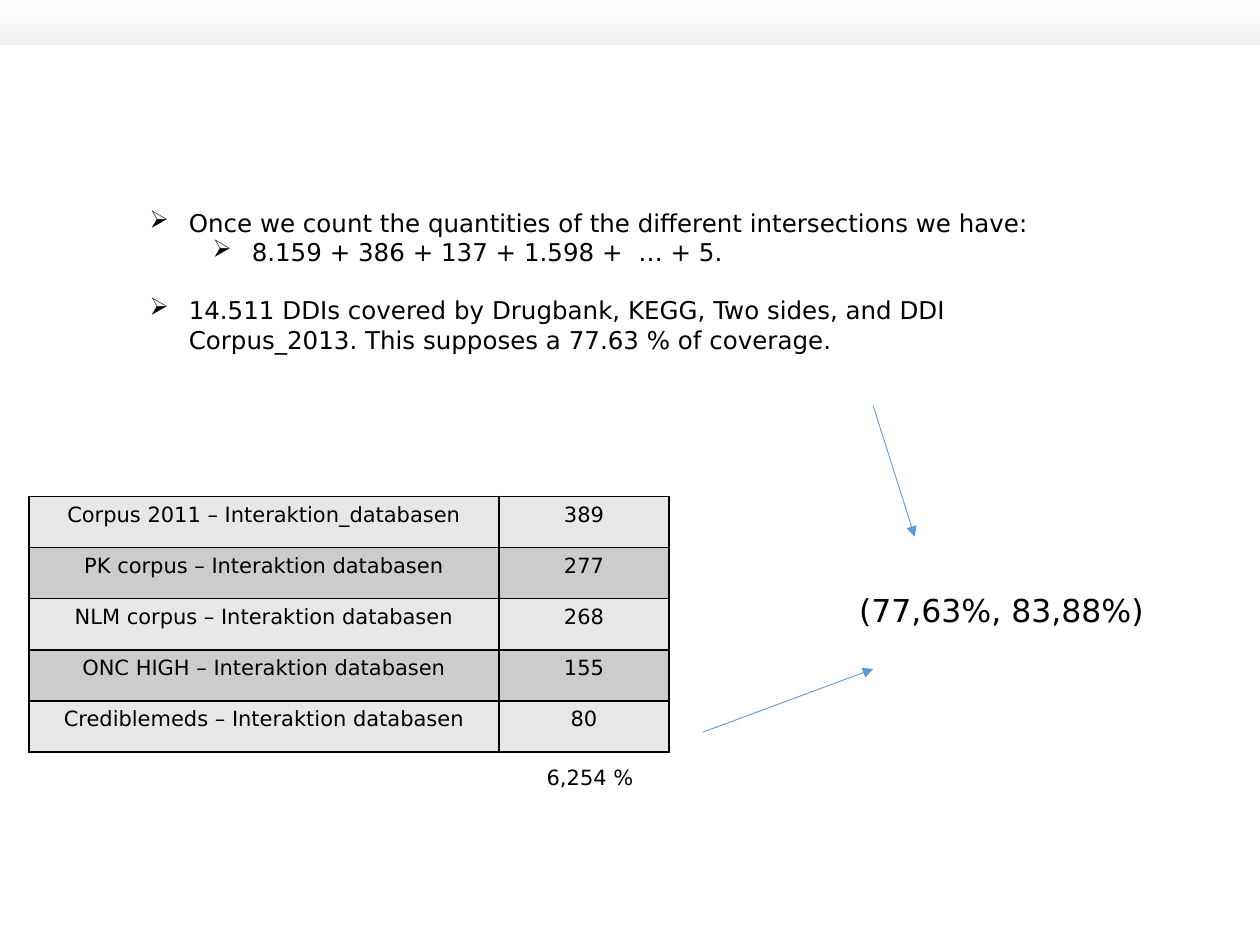
from lxml.etree import SubElement
from pptx import Presentation
from pptx.dml.color import RGBColor
from pptx.enum.shapes import MSO_CONNECTOR as Connector, MSO_SHAPE as Shape
from pptx.enum.text import MSO_AUTO_SIZE as AutoSize, PP_ALIGN as Align
from pptx.oxml.ns import qn
from pptx.util import Inches, Pt

FONT = "DejaVu Sans"
COLORS = {"text": "000000", "border": "000000", "arrow": "5B9BD5", "light": "E7E7E7",
          "dark": "CCCCCC", "band_top": "FFFFFF", "band_bottom": "EFF0EF"}
FINDINGS = [
    ("Once we count the quantities of the different intersections we have:", 0.81, 0),
    ("8.159 + 386 + 137 + 1.598 +  … + 5.", 1.31, 0),
    ("14.511 DDIs covered by Drugbank, KEGG, Two sides, and DDI Corpus_2013. "
     "This supposes a 77.63 % of coverage.", 0.81, 16.3),
]
OVERLAPS = [
    ("Corpus 2011 – Interaktion_databasen", "389"),
    ("PK corpus – Interaktion databasen", "277"),
    ("NLM corpus – Interaktion databasen", "268"),
    ("ONC HIGH – Interaktion databasen", "155"),
    ("Crediblemeds – Interaktion databasen", "80"),
]


def color(name):
    """Return the named colour."""
    return RGBColor.from_string(COLORS[name])


def set_font(para, size):
    """Give a paragraph the slide's font at a size in points."""
    para.font.name = FONT
    para.font.size = Pt(size)
    para.font.color.rgb = color("text")


def add_text_frame(page, left, top, width, height):
    """Add a wrapping text box and return its frame."""
    frame = page.shapes.add_textbox(
        Inches(left), Inches(top), Inches(width), Inches(height)).text_frame
    frame.word_wrap = True
    frame.auto_size = AutoSize.NONE
    return frame


def add_header_band(page, left, top, width, height):
    """Draw the shaded band along the top edge."""
    band = page.shapes.add_shape(
        Shape.RECTANGLE, Inches(left), Inches(top), Inches(width), Inches(height))
    band.shadow.inherit = False
    band.line.fill.background()
    band.fill.gradient()
    band.fill.gradient_angle = 270
    for stop, name in zip(band.fill.gradient_stops, ("band_top", "band_bottom")):
        stop.color.rgb = color(name)


def add_findings(page, left, top, width, height):
    """Write the bulleted findings on two levels."""
    frame = add_text_frame(page, left, top, width, height)
    for index, (text, margin, gap) in enumerate(FINDINGS):
        para = frame.paragraphs[0] if index == 0 else frame.add_paragraph()
        para.text = text
        props = para._p.get_or_add_pPr()
        props.set("marL", str(Inches(margin)))
        props.set("indent", str(Inches(-0.31)))
        SubElement(props, qn("a:buChar"), char="➢")
        if gap:
            para.space_before = Pt(gap)
        set_font(para, 14)


def add_borders(cell):
    """Draw a thin line on every side of a cell."""
    props = cell._tc.get_or_add_tcPr()
    for side in ("lnL", "lnR", "lnT", "lnB"):
        line = SubElement(props, qn(f"a:{side}"), w=str(Pt(1)))
        fill = SubElement(line, qn("a:solidFill"))
        SubElement(fill, qn("a:srgbClr"), val=COLORS["border"])


def add_column_table(page, left, top, width, height, values):
    """Place a one-column table with alternating row shades."""
    table = page.shapes.add_table(
        len(values), 1, Inches(left), Inches(top), Inches(width), Inches(height)).table
    table.first_row = False
    table.horz_banding = False
    for index, value in enumerate(values):
        cell = table.cell(index, 0)
        add_borders(cell)
        cell.fill.solid()
        cell.fill.fore_color.rgb = color("dark" if index % 2 else "light")
        cell.text = value
        para = cell.text_frame.paragraphs[0]
        para.alignment = Align.CENTER
        set_font(para, 12)


def add_overlaps(page, left, top, height):
    """Set the corpus names and their counts side by side."""
    name_width, count_width = 3.73, 1.35
    names, counts = zip(*OVERLAPS)
    add_column_table(page, left, top, name_width, height, names)
    add_column_table(page, left + name_width, top, count_width, height, counts)


def add_label(page, left, top, width, height, text, size):
    """Write a one-line label."""
    para = add_text_frame(page, left, top, width, height).paragraphs[0]
    para.text = text
    set_font(para, size)


def add_arrow(page, start, end):
    """Draw a thin arrow from start to end."""
    arrow = page.shapes.add_connector(
        Connector.STRAIGHT, *(Inches(value) for value in start + end))
    arrow.line.color.rgb = color("arrow")
    arrow.line.width = Pt(0.5)
    props = arrow.element.spPr
    SubElement(props.find(qn("a:ln")), qn("a:tailEnd"), type="triangle")
    SubElement(props, qn("a:effectLst"))


def main():
    """Build and save the slide."""
    deck = Presentation()
    deck.slide_width, deck.slide_height = Inches(10), Inches(7.5)
    page = deck.slides.add_slide(deck.slide_layouts[6])
    add_header_band(page, 0, 0, 10, 0.36)
    add_findings(page, 0.59, 1.6, 7.73, 1.98)
    add_overlaps(page, 0.23, 3.94, 2.03)
    add_label(page, 4.24, 6.02, 1.22, 0.3, "6,254 %", 12)
    add_arrow(page, (6.93, 3.22), (7.26, 4.26))
    add_arrow(page, (5.58, 5.81), (6.93, 5.31))
    add_label(page, 6.72, 4.64, 2.67, 0.4, "(77,63%, 83,88%)", 18)
    deck.save("out.pptx")


if __name__ == "__main__":
    main()
